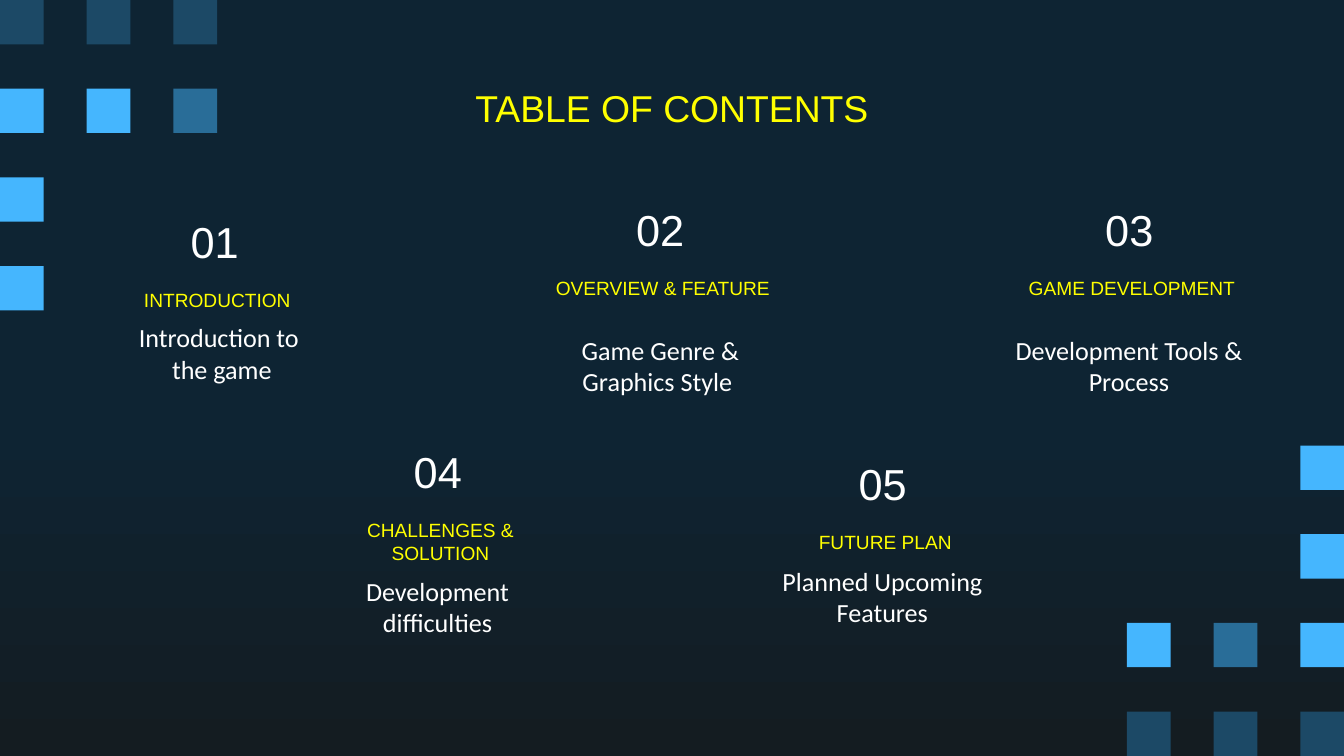
from pptx import Presentation
from pptx.dml.color import RGBColor
from pptx.enum.shapes import MSO_SHAPE
from pptx.enum.text import MSO_ANCHOR, MSO_AUTO_SIZE, PP_ALIGN
from pptx.util import Pt

PX = 9144  # 100 px to the inch
WIDTH, HEIGHT = 2000, 1125
BRIGHT, MID, DARK = "45B6FE", "296D98", "1C4966"
YELLOW, WHITE = "FFFF00", "FFFFFF"


def rgb(color):
    return RGBColor.from_string(color)


def write(box, position, lines, font, size, color, spacing):
    """Place a text box or placeholder and fill it with centred lines."""
    for side, length in zip(("left", "top", "width", "height"), position):
        setattr(box, side, length * PX)
    frame = box.text_frame
    frame_format = {
        "margin_left": 0, "margin_top": 0, "margin_right": 0, "margin_bottom": 0,
        "word_wrap": True, "auto_size": MSO_AUTO_SIZE.NONE,
        "vertical_anchor": MSO_ANCHOR.TOP, "text": "\n".join(lines),
    }
    for name, value in frame_format.items():
        setattr(frame, name, value)
    for paragraph in frame.paragraphs:
        paragraph.alignment = PP_ALIGN.CENTER
        paragraph.line_spacing = Pt(spacing)
        run_font = paragraph.runs[0].font
        run_font.name = font
        run_font.size = Pt(size)
        run_font.color.rgb = rgb(color)


deck = Presentation()
deck.slide_width, deck.slide_height = WIDTH * PX, HEIGHT * PX
slide = deck.slides.add_slide(deck.slide_layouts[5])

# Background: plain to just past the middle, then darker to the bottom
backdrop = slide.background.fill
backdrop.gradient()
backdrop.gradient_angle = 270
for stop, (position, color) in zip(backdrop.gradient_stops, [(0.56, "0E2433"), (1, "141C21")]):
    stop.position = position
    stop.color.rgb = rgb(color)

# Squares in two opposite corners; rows and columns count from the corner
SQUARE_W, SQUARE_H, STEP_X, STEP_Y = 65, 66, 129, 132
top_left = [[DARK, DARK, DARK], [BRIGHT, BRIGHT, MID], [BRIGHT], [BRIGHT]]
bottom_right = [[DARK, DARK, DARK], [BRIGHT, MID, BRIGHT], [BRIGHT], [BRIGHT]]
for corner_x, corner_y, direction, rows in [
    (0, 0, 1, top_left),
    (WIDTH - SQUARE_W, HEIGHT - SQUARE_H, -1, bottom_right),
]:
    for row, colors in enumerate(rows):
        for column, color in enumerate(colors):
            square = slide.shapes.add_shape(
                MSO_SHAPE.RECTANGLE,
                (corner_x + direction * column * STEP_X) * PX,
                (corner_y + direction * row * STEP_Y) * PX,
                SQUARE_W * PX, SQUARE_H * PX)
            square.shadow.inherit = False
            square.fill.solid()
            square.fill.fore_color.rgb = rgb(color)
            square.line.fill.background()

write(slide.shapes.title, (167, 127, 1666, 54), ["TABLE OF CONTENTS"], "Arial", 40, YELLOW, 48)

# Number left and top, heading, then summary left, top, width and lines
sections = [
    (105, 320, "INTRODUCTION", 161, 479, 338, ["Introduction to ", "the game"]),
    (768, 303, "OVERVIEW & FEATURE", 843, 497, 279, ["Game Genre & Graphics Style "]),
    (1466, 303, "GAME DEVELOPMENT", 1511, 497, 338, ["Development Tools & Process"]),
    (437, 663, "CHALLENGES & SOLUTION", 482, 856, 338, ["Development difficulties"]),
    (1099, 680, "FUTURE PLAN", 1144, 841, 338, ["Planned Upcoming Features"]),
]
for number, (left, top, heading, summary_left, summary_top, summary_width, summary) in enumerate(sections, 1):
    for position, lines, font, size, color, spacing in [
        ((left, top, 429, 77), [f"{number:02}"], "Arial", 46.4, WHITE, 55.7),
        ((left + 47, top + 109, 343, 68), [heading], "Arial", 20.5, YELLOW, 24.6),
        ((summary_left, summary_top, summary_width, 93), summary, "Calibri", 28, WHITE, 33.6),
    ]:
        write(slide.shapes.add_textbox(0, 0, 0, 0), position, lines, font, size, color, spacing)

deck.save("out.pptx")
